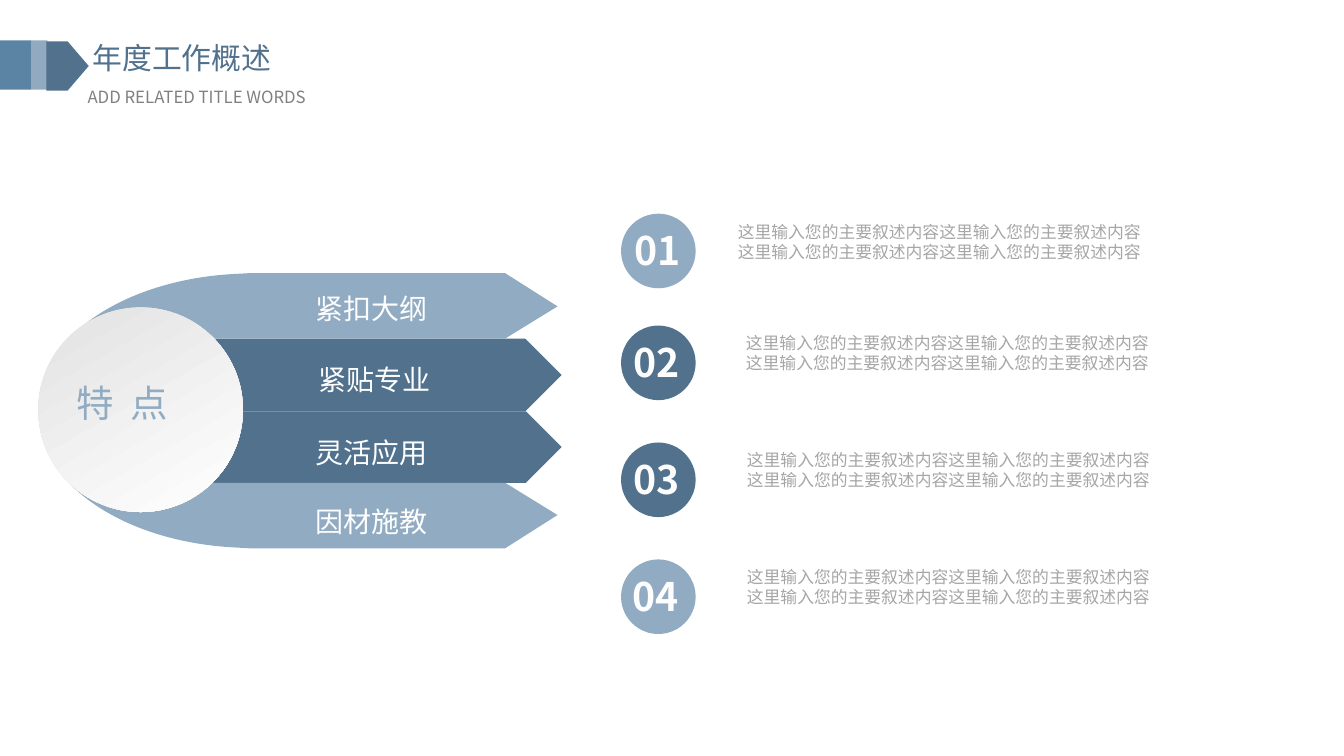
"""Build the annual work overview slide with four features and their notes."""
from pptx import Presentation
from pptx.dml.color import RGBColor
from pptx.enum.shapes import MSO_SHAPE
from pptx.enum.text import MSO_ANCHOR, MSO_AUTO_SIZE, PP_ALIGN
from pptx.oxml.ns import qn
from pptx.util import Inches, Pt

FONT = "Noto Sans CJK SC"
DARK, LIGHT, WHITE = "51718D", "91ACC2", "FDFDFD"

deck = Presentation()
deck.slide_width, deck.slide_height = Inches(13.33), Inches(7.5)
page = deck.slides.add_slide(deck.slide_layouts[6])


def paint(shape, color):
    shape.shadow.inherit = False
    shape.line.fill.background()
    shape.fill.solid()
    shape.fill.fore_color.rgb = RGBColor.from_string(color)


def write(lines, place, size, color, bold=False, wrap=False, fill=None):
    area = [Inches(length) for length in place]
    if fill:
        box = page.shapes.add_shape(MSO_SHAPE.RECTANGLE, *area)
        paint(box, fill)
    else:
        box = page.shapes.add_textbox(*area)
    settings = {"word_wrap": wrap, "auto_size": MSO_AUTO_SIZE.NONE,
                "vertical_anchor": MSO_ANCHOR.TOP}
    for name, value in settings.items():
        setattr(box.text_frame, name, value)
    box.text_frame.text = "\n".join(lines)
    for para in box.text_frame.paragraphs:
        para.alignment = PP_ALIGN.LEFT
        span = para.runs[0]
        for name, value in {"name": FONT, "size": Pt(size), "bold": bold}.items():
            setattr(span.font, name, value)
        span.font.color.rgb = RGBColor.from_string(color)
        east = span.font._element.makeelement(qn("a:ea"), {"typeface": FONT})
        span.font._element.find(qn("a:latin")).addnext(east)
    return box


write(["年度工作概述"], (0.82, 0.34, 2.68, 0.46), 21.3, DARK, wrap=True)
write(["ADD RELATED TITLE WORDS"], (0.77, 0.81, 2.97, 0.3), 12, "808080", wrap=True)
blocks = [
    (MSO_SHAPE.RECTANGLE, (0, 0.4, 0.31, 0.49), "5B83A4"),
    (MSO_SHAPE.RECTANGLE, (0.31, 0.4, 0.16, 0.49), "91AAC0"),
    (MSO_SHAPE.PENTAGON, (0.46, 0.41, 0.42, 0.49), DARK),
]
bands = [(MSO_SHAPE.PENTAGON, (1.83, 3.36, 3.74, 0.72), DARK),
         (MSO_SHAPE.PENTAGON, (1.83, 4.08, 3.74, 0.71), DARK)]
for kind, place, color in blocks + bands:
    paint(page.shapes.add_shape(kind, *map(Inches, place)), color)

notes = [
    ("01", 2.12, LIGHT, 6.19, 7.22, 2.15),
    ("02", 3.23, DARK, 6.18, 7.3, 3.25),
    ("03", 4.39, DARK, 6.18, 7.31, 4.41),
    ("04", 5.55, LIGHT, 6.17, 7.31, 5.57),
]
for number, top, color, number_left, note_left, note_top in notes:
    disc = page.shapes.add_shape(
        MSO_SHAPE.OVAL, Inches(6.16), Inches(top), Inches(0.74), Inches(0.74))
    paint(disc, color)
    write([number], (number_left, top + 0.08, 0.71, 0.57), 28, WHITE, bold=True)
    write(["这里输入您的主要叙述内容这里输入您的主要叙述内容"] * 2,
          (note_left, note_top, 4.24, 0.5), 12, "A6A6A6")

upper_wing = [
    (2.48, 2.71), (5.01, 2.71), (5.53, 3.04), (5.01, 3.36), (1.95, 3.36),
    (1.83, 3.34), (1.71, 3.33), (1.59, 3.33),
    (1.01, 3.33), (0.52, 3.58), (0.41, 3.92),
    (0.4, 3.98), (0.4, 3.89),
    (0.51, 3.27), (1.3, 2.78), (2.3, 2.72),
]
curve_starts = (5, 8, 13)
lower_wing = [(x, 8.15 - y) for x, y in upper_wing]
for wing in (upper_wing, lower_wing):
    points = [(round(x * 100), round(y * 100)) for x, y in wing]
    builder = page.shapes.build_freeform(*points[0], scale=Inches(0.01))
    builder.add_line_segments(points[1:], close=True)
    shape = builder.convert_to_shape()
    paint(shape, LIGHT)
    outline = next(shape._element.iter(qn("a:path")))
    segments = list(outline)
    for start in curve_starts:
        curve = outline.makeelement(qn("a:cubicBezTo"), {})
        segments[start].addprevious(curve)
        for segment in segments[start:start + 3]:
            curve.append(segment[0])
            outline.remove(segment)

labels = [("紧扣大纲", 3.03, 2.84, None), ("紧贴专业", 3.06, 3.55, DARK),
          ("灵活应用", 3.03, 4.27, DARK), ("因材施教", 3.03, 4.96, LIGHT)]
for label, left, top, fill in labels:
    write([label], (left, top, 1.32, 0.44), 20, WHITE, fill=fill)

hub = page.shapes.add_shape(
    MSO_SHAPE.OVAL, Inches(0.38), Inches(3.05), Inches(2.03), Inches(2.03))
paint(hub, "FFFFFF")
hub.fill.gradient()
hub.fill.gradient_angle = 300
for stop, color, position in zip(hub.fill.gradient_stops, ("E2E2E2", "FFFFFF"), (0, 1)):
    stop.color.rgb = RGBColor.from_string(color)
    stop.position = position
title = write(["特 点"], (0.66, 3.72, 1.17, 0.55), 26.7, LIGHT)
title.text_frame.paragraphs[0].runs[0].font._element.set("spc", "300")

deck.save("out.pptx")
